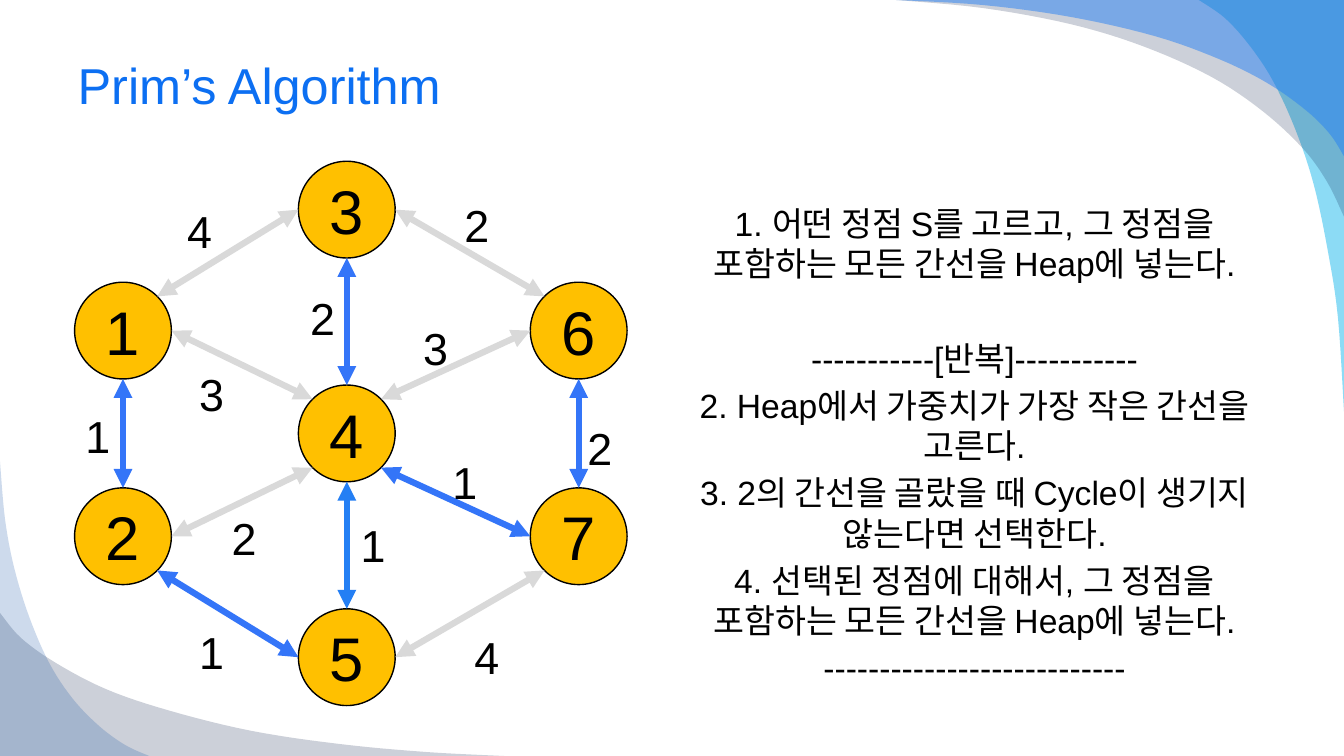
from lxml.etree import SubElement as Sub
from pptx import Presentation
from pptx.dml.color import RGBColor
from pptx.enum.shapes import MSO_CONNECTOR as Link, MSO_SHAPE as Form
from pptx.enum.text import MSO_ANCHOR as Anchor, MSO_AUTO_SIZE as Fit, PP_ALIGN as Align
from pptx.oxml.ns import qn
from pptx.util import Inches, Pt

WIDE, HIGH = 133.3, 75  # grid of tenth-inch columns and rows
SIZE = 9.6  # node diameter
BLUE, GREY = "3475F8", "D9D9D9"

# Corner point, then the curve that closes each wave
WAVES = [
    ("00B1E9", 45, (WIDE, 0), [(118.9, 0), (121.5, 1.8), (124, 4.6), (126.3, 8.1), (128.5, 12.9),
                               (130.3, 18.3), (131.7, 24.9), (132.7, 31.5), (WIDE, 40.8)]),
    ("021741", 20, (WIDE, 0), [(88.9, 0), (97.5, 0.8), (106.2, 2.4), (113.4, 4.6), (120.1, 7.6),
                               (125.2, 11), (129.2, 14.7), (131.6, 18), (WIDE, 21.5)]),
    ("247FF4", 49, (WIDE, 0), [(88.9, 0), (97.5, 0.5), (106.3, 1.7), (114.6, 3.6), (121, 5.9),
                               (125.8, 8.3), (129.6, 11), (131.9, 13.3), (WIDE, 15.5)]),
    ("021741", 20, (0, HIGH), [(0, 60.8), (2.1, 63.3), (5.6, 65.8), (10.6, 68.4), (16.8, 70.5),
                               (24.9, 72.5), (33.6, 73.8), (42.2, 74.6), (50, HIGH)]),
    ("084AA1", 20, (0, HIGH), [(0, 45.8), (0.5, 51.5), (1.4, 56.3), (2.9, 61.2), (4.9, 65.8),
                               (7.2, 69.3), (9.8, 72), (12.4, 73.9), (14.8, HIGH)]),
]

# Node centres
NODES = {1: (12.2, 32.8), 2: (12.2, 53.2), 3: (34.4, 20.8), 4: (34.4, 43),
         5: (34.4, 65.2), 6: (57.4, 32.8), 7: (57.4, 53.2)}

# Start node and side, end node and side, colour, weight, label corner
EDGES = [
    (1, "ne", 3, "w", GREY, 4, (16.8, 19.1)),
    (1, "e", 4, "nw", GREY, 3, (18, 35.3)),
    (1, "s", 2, "n", BLUE, 1, (6.7, 39.4)),
    (2, "se", 5, "w", BLUE, 1, (18, 60.9)),
    (2, "e", 4, "sw", GREY, 2, (21.2, 49.6)),
    (5, "n", 4, "s", "247FF4", 1, (34, 50.3)),
    (4, "n", 3, "s", BLUE, 2, (29, 27.7)),
    (3, "e", 6, "nw", GREY, 2, (44.3, 18.5)),
    (4, "ne", 6, "w", GREY, 3, (40.2, 30.7)),
    (4, "se", 7, "w", BLUE, 1, (43.1, 44)),
    (5, "e", 7, "sw", GREY, 4, (45.3, 61.4)),
    (7, "n", 6, "s", BLUE, 2, (56.5, 40.6)),
]

# Each step with its space before, in points
STEPS = [
    ("1. 어떤 정점 S를 고르고, 그 정점을 포함하는 모든 간선을 Heap에 넣는다.", 0),
    ("-----------[반복]-----------", 39),
    ("2. Heap에서 가중치가 가장 작은 간선을 고른다.", 4.8),
    ("3. 2의 간선을 골랐을 때 Cycle이 생기지 않는다면 선택한다.", 4.8),
    ("4. 선택된 정점에 대해서, 그 정점을 포함하는 모든 간선을 Heap에 넣는다.", 4.8),
    ("---------------------------", 4.8),
]


def cell(*vals):
    return [Inches(v / 10) for v in vals]


def paint(hue):
    return RGBColor.from_string(hue)


def write(par, text, size=24, hue="000000", align=Align.CENTER, gap=0):
    par.alignment = align
    par.space_before = Pt(gap)
    run = par.add_run()
    run.text = str(text)
    run.font.name, run.font.size = "Arial", Pt(size)
    run.font.color.rgb = paint(hue)


def rim(node, side):
    """Point on a node's edge in a compass direction."""
    dx = ("e" in side) - ("w" in side)
    dy = ("s" in side) - ("n" in side)
    reach = SIZE / 2 / (dx * dx + dy * dy) ** 0.5
    x, y = NODES[node]
    return x + dx * reach, y + dy * reach


def smooth(knots, steps=6):
    """Catmull-Rom curve through the knots."""
    ends = [knots[0], *knots, knots[-1]]
    for a, b, c, d in zip(ends, ends[1:], ends[2:], ends[3:]):
        for t in (i / steps for i in range(steps)):
            yield tuple(q + t / 2 * (r - p + t * (2 * p - 5 * q + 4 * r - s
                                                  + t * (3 * (q - r) + s - p)))
                        for p, q, r, s in zip(a, b, c, d))
    yield knots[-1]


class Deck:
    def __init__(self):
        self.file = Presentation()
        self.file.slide_width, self.file.slide_height = cell(WIDE, HIGH)
        self.page = self.file.slides.add_slide(self.file.slide_layouts[1])
        self.shapes = self.page.shapes

    def wave(self, hue, alpha, corner, knots):
        pen = self.shapes.build_freeform(*cell(*corner))
        pen.add_line_segments([cell(*p) for p in smooth(knots)], close=True)
        form = pen.convert_to_shape()
        form.shadow.inherit = False
        form.fill.solid()
        form.fill.fore_color.rgb = paint(hue)
        tint = form.fill._xPr.find(".//" + qn("a:srgbClr"))
        Sub(tint, qn("a:alpha"), val=str(alpha * 1000))
        form.line.fill.background()

    def holder(self, spot, box, anchor):
        form = self.page.placeholders[spot]
        form.left, form.top, form.width, form.height = cell(*box)
        self.shapes._spTree.append(form._element)  # bring in front of the waves
        frame = form.text_frame
        frame.auto_size, frame.vertical_anchor = Fit.NONE, anchor
        return frame

    def title(self, text, box):
        frame = self.holder(0, box, Anchor.MIDDLE)
        write(frame.paragraphs[0], text, size=36, hue="0C6FF2", align=Align.LEFT)

    def body(self, steps, box):
        frame = self.holder(1, box, Anchor.TOP)
        frame.margin_top = Inches(0.53)
        for i, (text, gap) in enumerate(steps):
            par = frame.add_paragraph() if i else frame.paragraphs[0]
            props = par._p.get_or_add_pPr()
            props.set("marL", "0")
            props.set("indent", "0")
            Sub(props, qn("a:buNone"))
            write(par, text, gap=gap)

    def node(self, name, x, y):
        box = cell(x - SIZE / 2, y - SIZE / 2, SIZE, SIZE)
        form = self.shapes.add_shape(Form.OVAL, *box)
        form.shadow.inherit = False
        form.fill.solid()
        form.fill.fore_color.rgb = paint("FFC000")
        form.line.color.rgb, form.line.width = paint("000000"), Pt(1)
        form.text_frame.vertical_anchor = Anchor.MIDDLE
        write(form.text_frame.paragraphs[0], name, size=44)

    def edge(self, start, end, hue):
        link = self.shapes.add_connector(Link.STRAIGHT, *cell(*start, *end))
        link.line.color.rgb, link.line.width = paint(hue), Pt(4.5)
        for tip in ("a:headEnd", "a:tailEnd"):
            Sub(link.line._get_or_add_ln(), qn(tip), type="triangle")
        Sub(link._element.spPr, qn("a:effectLst"))

    def label(self, text, x, y):
        frame = self.shapes.add_textbox(*cell(x, y, 6, 7)).text_frame
        frame.word_wrap = True
        frame.margin_top = Inches(0.11)
        write(frame.paragraphs[0], text, size=32)


def main():
    deck = Deck()
    # Backdrop
    for wave in WAVES:
        deck.wave(*wave)
    # Title and steps
    deck.title("Prim’s Algorithm", (6.7, 3.3, 120, 10.1))
    deck.body(STEPS, (66.7, 14.8, 59.9, 57.2))
    # Graph
    for name, spot in NODES.items():
        deck.node(name, *spot)
    for a, out, b, into, hue, cost, spot in EDGES:
        deck.edge(rim(a, out), rim(b, into), hue)
        deck.label(cost, *spot)
    deck.file.save("out.pptx")


if __name__ == "__main__":
    main()
